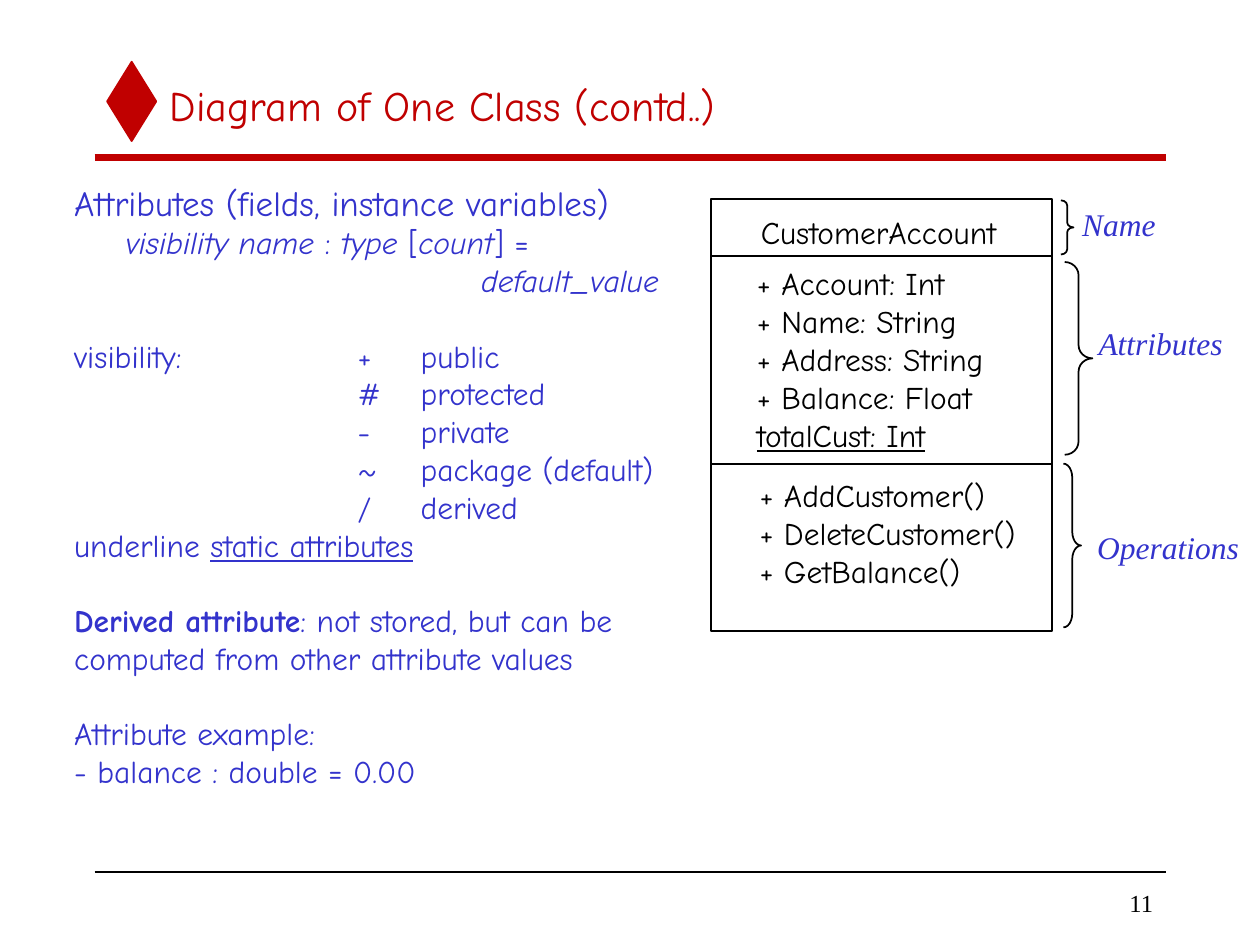
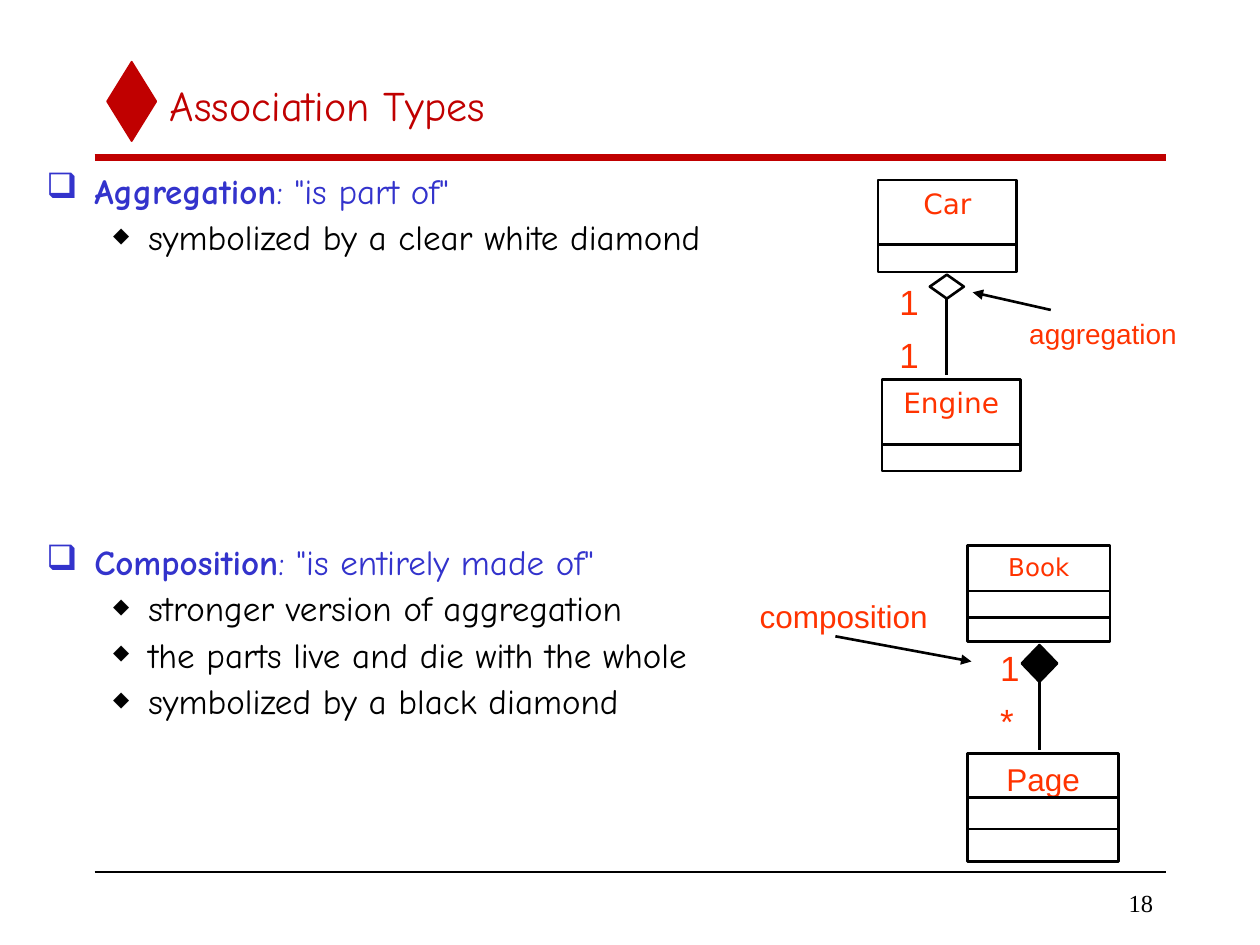
from dataclasses import dataclass

from lxml.etree import SubElement
from pptx import Presentation
from pptx.dml.color import RGBColor
from pptx.enum.shapes import MSO_CONNECTOR, MSO_SHAPE
from pptx.enum.text import MSO_ANCHOR, MSO_AUTO_SIZE, PP_ALIGN
from pptx.oxml.ns import qn
from pptx.util import Pt

PX = 9144  # EMU in one px, 100 px to the inch


@dataclass(frozen=True)
class Theme:
    red: str = "C00000"
    blue: str = "3333CC"
    flame: str = "FF3300"
    black: str = "000000"
    comic: str = "Comic Neue"
    serif: str = "Times New Roman"
    sans: str = "Arial"
    plain: str = "DejaVu Sans"
    head: int = 24
    lead: int = 20
    body: int = 18
    note: int = 16
    small: int = 14
    thin: float = 1
    mid: float = 1.5
    thick: float = 4


T = Theme()


def style(name, size, color, **more):
    return dict(name=name, size=Pt(size), color=color, **more)


TITLE = style(T.comic, T.head, T.red)
PAGE = style(T.serif, T.small, T.black)
CODE = style(T.comic, T.body, T.black)
TEXT = style(T.comic, T.body, T.blue)
LEAD = style(T.comic, T.lead, T.blue)
LABEL = style(T.serif, T.body, T.blue, italic=True)
COUNT = style(T.sans, T.lead, T.flame)
ITALIC, BOLD, UNDER = {"italic": True}, {"bold": True}, {"underline": True}


# ---- Helpers ----
def apply(item, values):
    for key, value in values.items():
        if key == "color":
            item.color.rgb = RGBColor.from_string(value)
        else:
            setattr(item, key, value)


def put(shape, x, y, w, h):
    apply(shape, dict(left=x * PX, top=y * PX, width=w * PX, height=h * PX))


def write(frame, lines, form, wrap=True, anchor=MSO_ANCHOR.TOP, **layout):
    """Each line is a text or a list of (text, changes) runs."""
    fit = MSO_AUTO_SIZE.NONE if wrap else MSO_AUTO_SIZE.SHAPE_TO_FIT_TEXT
    apply(frame, dict(word_wrap=wrap, auto_size=fit, vertical_anchor=anchor))
    for i, line in enumerate(lines):
        para = frame.paragraphs[0] if i == 0 else frame.add_paragraph()
        apply(para, layout)
        for words, change in [(line, {})] if isinstance(line, str) else line:
            run = para.add_run()
            run.text = words
            apply(run.font, {**form, **change})
    return frame.paragraphs


def text(slide, box, lines, form, **more):
    shape = slide.shapes.add_textbox(0, 0, 0, 0)
    put(shape, *box)
    return write(shape.text_frame, lines, form, **more)


def shape(slide, kind, box, width, color=T.black, fill=None):
    item = slide.shapes.add_shape(kind, 0, 0, 0, 0)
    put(item, *box)
    item.shadow.inherit = False
    if fill:
        item.fill.solid()
        item.fill.fore_color.rgb = RGBColor.from_string(fill)
    else:
        item.fill.background()
    item.line.width = Pt(width)
    item.line.color.rgb = RGBColor.from_string(color)
    return item


def line(slide, x1, y1, x2, y2, width, color=T.black, arrow=False):
    ends = [v * PX for v in (x1, y1, x2, y2)]
    item = slide.shapes.add_connector(MSO_CONNECTOR.STRAIGHT, *ends)
    item.line.width = Pt(width)
    item.line.color.rgb = RGBColor.from_string(color)
    if arrow:
        SubElement(item.line._get_or_add_ln(), qn("a:tailEnd"), type="triangle")
    SubElement(item._element.spPr, qn("a:effectLst"))


def indent(para, left, first=0):
    props = para._p.get_or_add_pPr()
    props.set("marL", str(left * PX))
    props.set("indent", str(first * PX))
    return props


def bullet(para, mark, color, left, hang, size=100):
    props = indent(para, left, -hang)
    tint = SubElement(props, qn("a:buClr"))
    SubElement(tint, qn("a:srgbClr"), val=color)
    SubElement(props, qn("a:buSzPct"), val=str(size * 1000))
    SubElement(props, qn("a:buChar"), char=mark)


def tabs(para, *stops):
    group = SubElement(para._p.get_or_add_pPr(), qn("a:tabLst"))
    for stop in stops:
        SubElement(group, qn("a:tab"), pos=str(stop * PX), algn="l")


# ---- Shared frame: diamond, title, rules, page number ----
def base(deck, title, page):
    slide = deck.slides.add_slide(deck.slide_layouts[6])
    shape(slide, MSO_SHAPE.DIAMOND, (85, 49, 39, 63), T.thin, T.red, T.red)
    line(slide, 75, 125, 925, 125, T.thick, T.red)
    line(slide, 75, 692, 925, 692, T.thin)
    mid = MSO_ANCHOR.MIDDLE
    text(slide, (125, 50, 800, 67), [title], TITLE, anchor=mid)
    text(slide, (783, 700, 142, 33), [str(page)], PAGE, anchor=mid,
         alignment=PP_ALIGN.RIGHT)
    return slide


# ---- Class diagram slide ----
def syntax(slide, box):
    marks = [("+", "public"), ("#", "protected"), ("-", "private"),
             ("~", "package (default)"), ("/", "derived")]
    rows = [f"{'' if i else 'visibility:'}\t{sign}\t{word}"
            for i, (sign, word) in enumerate(marks)]
    paras = text(slide, box, [
        [("Attributes (fields, instance variables)", {"size": Pt(T.lead)})],
        [("visibility name", ITALIC), (" : ", {}), ("type", ITALIC),
         (" [", {}), ("count", ITALIC), ("] =", {})],
        [("default_value", ITALIC)],
        *rows,
        [("underline ", {}), ("static attributes", UNDER)],
        [("Derived attribute", BOLD),
         (": not stored, but can be computed from other attribute values", {})],
        "Attribute example:",
        "- balance : double = 0.00",
    ], TEXT)
    indent(paras[1], 41)
    indent(paras[2], 323)
    for i in (3, 9, 10):  # first line of each later block
        paras[i].space_before = Pt(21.5)
    for para in paras[3:8]:
        tabs(para, 225, 275)


def card(slide, x, y, w, h):
    shape(slide, MSO_SHAPE.RECTANGLE, (x, y, w, h), T.thin)
    parts = [
        ((30, 6, 207, 40), ["CustomerAccount"]),
        ((27, 47, 200, 160),
         ["+ Account: Int", "+ Name: String", "+ Address: String",
          "+ Balance: Float", [("totalCust: Int", UNDER)]]),
        ((29, 215, 224, 100),
         ["+ AddCustomer()", "+ DeleteCustomer()", "+ GetBalance()"]),
    ]
    for (dx, dy, tw, th), rows in parts:
        text(slide, (x + dx, y + dy, tw, th), rows, CODE, wrap=False)
    for dy in (45, 210):
        line(slide, x, y + dy, x + w, y + dy, T.thin)


def braces(slide, x, y):
    """Brace box, its bend, label box and label."""
    parts = [
        ((0, 1, 10, 43), 0.4, (7, 0, 78, 40), "Name"),
        ((3, 50, 22, 153), 0.48, (20, 94, 119, 40), "Attributes"),
        ((2, 210, 14, 130), 0.79, (19, 256, 133, 40), "Operations"),
    ]
    for (bx, by, bw, bh), bend, (tx, ty, tw, th), name in parts:
        brace = shape(slide, MSO_SHAPE.RIGHT_BRACE,
                      (x + bx, y + by, bw, bh), T.thin)
        brace.adjustments[0] = bend
        text(slide, (x + tx, y + ty, tw, th), [name], LABEL, wrap=False)


def diagram(deck):
    slide = base(deck, "Diagram of One Class (contd..)", 11)
    card(slide, 564, 158, 271, 343)
    braces(slide, 842, 158)
    syntax(slide, (49, 139, 500, 524))


# ---- Association slide ----
def points(slide, box):
    topics = [
        ("Aggregation", "is part of",
         ["symbolized by a clear white diamond"]),
        ("Composition", "is entirely made of",
         ["stronger version of aggregation",
          "the parts live and die with the whole",
          "symbolized by a black diamond"]),
    ]
    rows, heads = [], []
    for name, gist, facts in topics:
        heads.append(len(rows))
        rows.append([(name, BOLD), (f': "{gist}"', {})])
        rows += [[(fact, {"color": T.black})] for fact in facts]
    paras = text(slide, box, rows, LEAD, line_spacing=0.9, space_before=Pt(5))
    for i, para in enumerate(paras):
        if i in heads:
            bullet(para, "❑", T.blue, 38, 38)
        else:
            bullet(para, "◆", T.black, 81, 28, 60)
    paras[heads[1]].space_before = Pt(164)


def node(slide, box, name, font, size, cuts):
    x, y, w, h = box
    item = shape(slide, MSO_SHAPE.RECTANGLE, box, T.mid)
    write(item.text_frame, [name], style(font, size, T.flame),
          alignment=PP_ALIGN.CENTER)
    for cut in cuts:
        line(slide, x, y + cut, x + w, y + cut, T.mid)


def link(slide, x, y, w, h, end, fill=None):
    """Diamond with a stem that runs down to end."""
    line(slide, x + w // 2, y + h, x + w // 2, end, T.mid)
    shape(slide, MSO_SHAPE.DIAMOND, (x, y, w, h), T.mid, fill=fill)


def counts(slide, x, y, signs):
    for i, sign in enumerate(signs):
        text(slide, (x, y + 42 * i, 40, 44), [sign], COUNT)


def callout(slide, box, name, size, arrow):
    text(slide, box, [name], style(T.sans, size, T.flame))
    line(slide, *arrow, T.mid, arrow=True)


def whole(slide, x, y):
    node(slide, (x, y, 110, 73), "Car", T.plain, T.note, [51])
    link(slide, x + 41, y + 75, 27, 19, y + 155)
    counts(slide, x + 7, y + 75, "11")
    callout(slide, (x + 110, y + 103, 152, 37), "aggregation", T.note,
            (x + 137, y + 103, x + 75, y + 89))
    node(slide, (x + 3, y + 158, 110, 73), "Engine", T.plain, T.note, [52])


def made(slide, x, y):
    node(slide, (x, y + 165, 120, 86), "Page", T.sans, T.body, [35, 60])
    node(slide, (x, y, 113, 76), "Book", T.plain, T.small, [36, 57])
    link(slide, x + 43, y + 79, 28, 29, y + 162, T.black)
    counts(slide, x + 16, y + 75, "1*")
    callout(slide, (x - 175, y + 36, 155, 40), "composition", T.body,
            (x - 105, y + 72, x + 3, y + 92))


def types(deck):
    slide = base(deck, "Association Types", 18)
    points(slide, (27, 133, 700, 608))
    made(slide, 768, 433)
    whole(slide, 697, 143)


def main():
    deck = Presentation()
    apply(deck, dict(slide_width=1000 * PX, slide_height=750 * PX))
    diagram(deck)
    types(deck)
    deck.save("out.pptx")


if __name__ == "__main__":
    main()
